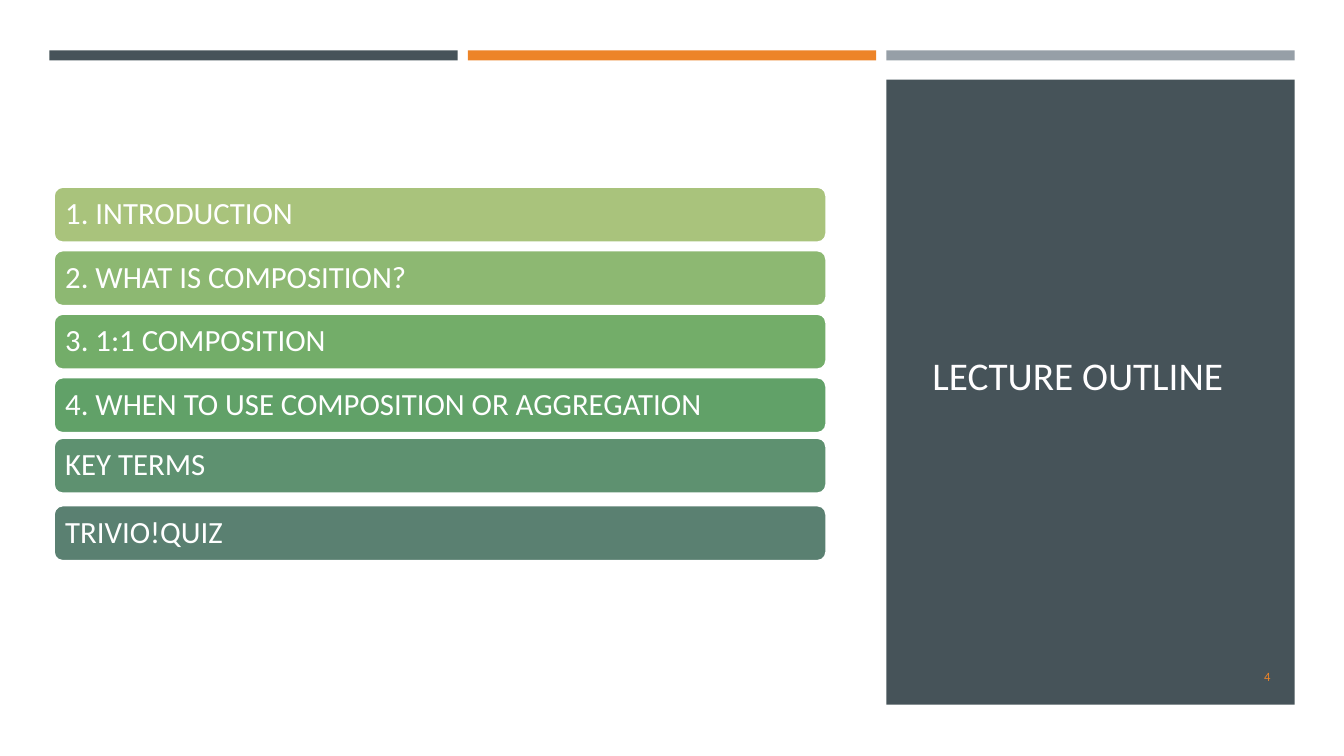
from pptx import Presentation
from pptx.dml.color import RGBColor
from pptx.enum.shapes import MSO_SHAPE
from pptx.enum.text import MSO_ANCHOR, PP_ALIGN
from pptx.util import Inches, Pt

RECTANGLE = MSO_SHAPE.RECTANGLE
ROUNDED = MSO_SHAPE.ROUNDED_RECTANGLE
MIDDLE = MSO_ANCHOR.MIDDLE
LEFT, RIGHT = PP_ALIGN.LEFT, PP_ALIGN.RIGHT

COLORS = {
    "slate": "465359",
    "orange": "ED8428",
    "gray": "969FA7",
    "white": "FFFFFF",
    "title": "FFFEFF",
}


def add_box(kind, left, top, width, height, fill):
    shape = slide.shapes.add_shape(
        kind, Inches(left), Inches(top), Inches(width), Inches(height))
    shape.shadow.inherit = False
    shape.fill.solid()
    shape.fill.fore_color.rgb = RGBColor.from_string(fill)
    shape.line.fill.background()
    return shape


def write_text(shape, text, size, color, align=LEFT, inset=0.1, line_spacing=1.0):
    frame = shape.text_frame
    frame.word_wrap = True
    frame.vertical_anchor = MIDDLE
    frame.margin_left = frame.margin_right = Inches(inset)
    paragraph = frame.paragraphs[0]
    paragraph.alignment = align
    paragraph.line_spacing = line_spacing
    run = paragraph.add_run()
    run.text = text
    run.font.name = "Calibri"
    run.font.size = Pt(size)
    run.font.color.rgb = RGBColor.from_string(color)


presentation = Presentation()
presentation.slide_width = Inches(13.33)
presentation.slide_height = Inches(7.5)
slide = presentation.slides.add_slide(presentation.slide_layouts[6])

# Three bars across the top
COLUMN_WIDTH, COLUMN_STEP, FIRST_COLUMN = 4.05, 4.15, 0.49
for column, name in enumerate(["slate", "orange", "gray"]):
    add_box(RECTANGLE, FIRST_COLUMN + column * COLUMN_STEP, 0.5,
            COLUMN_WIDTH, 0.1, COLORS[name])

# Title panel below the third bar
add_box(RECTANGLE, FIRST_COLUMN + 2 * COLUMN_STEP, 0.79,
        COLUMN_WIDTH, 6.2, COLORS["slate"])
title = slide.shapes.add_textbox(Inches(9.15), Inches(1.14), Inches(3.34), Inches(5.15))
write_text(title, "LECTURE OUTLINE", 28, COLORS["title"])

# Outline topics: top, fill, text
topics = [
    (1.85, "A9C37C", "1. INTRODUCTION"),
    (2.48, "8DB872", "2. WHAT IS COMPOSITION?"),
    (3.11, "73AD69", "3. 1:1 COMPOSITION"),
    (3.74, "61A168", "4. WHEN TO USE COMPOSITION OR AGGREGATION"),
    (4.34, "5E9170", "KEY TERMS"),
    (5.01, "5A8071", "TRIVIO!QUIZ"),
]
for top, fill, text in topics:
    topic = add_box(ROUNDED, 0.53, top, 7.67, 0.56, fill)
    topic.line.color.rgb = RGBColor.from_string(COLORS["white"])
    topic.line.width = Pt(2)
    write_text(topic, text, 22, COLORS["white"], inset=0.09, line_spacing=0.9)

# Slide number
number = slide.shapes.add_textbox(Inches(11.55), Inches(6.51), Inches(1.15), Inches(0.4))
write_text(number, "4", 9, COLORS["orange"], align=RIGHT)

presentation.save("out.pptx")
